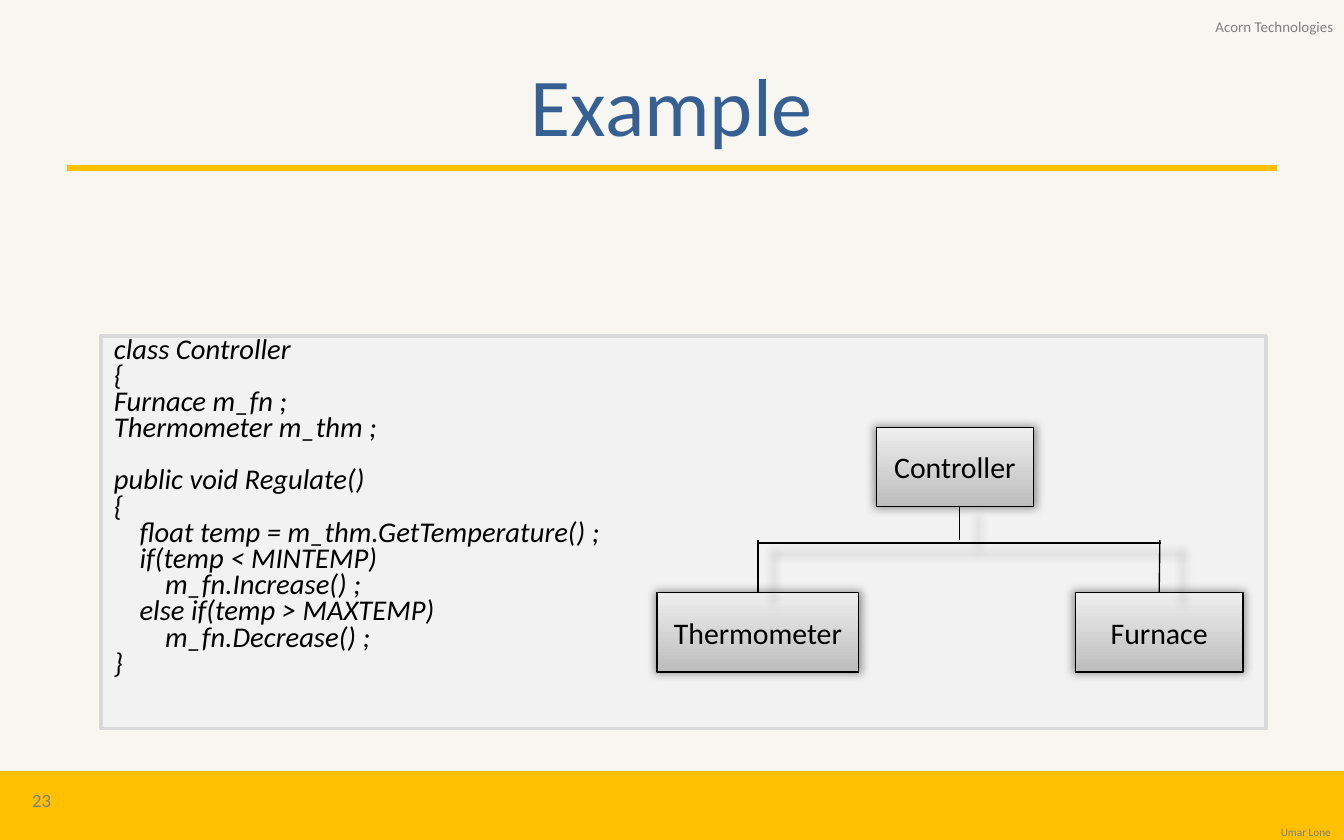
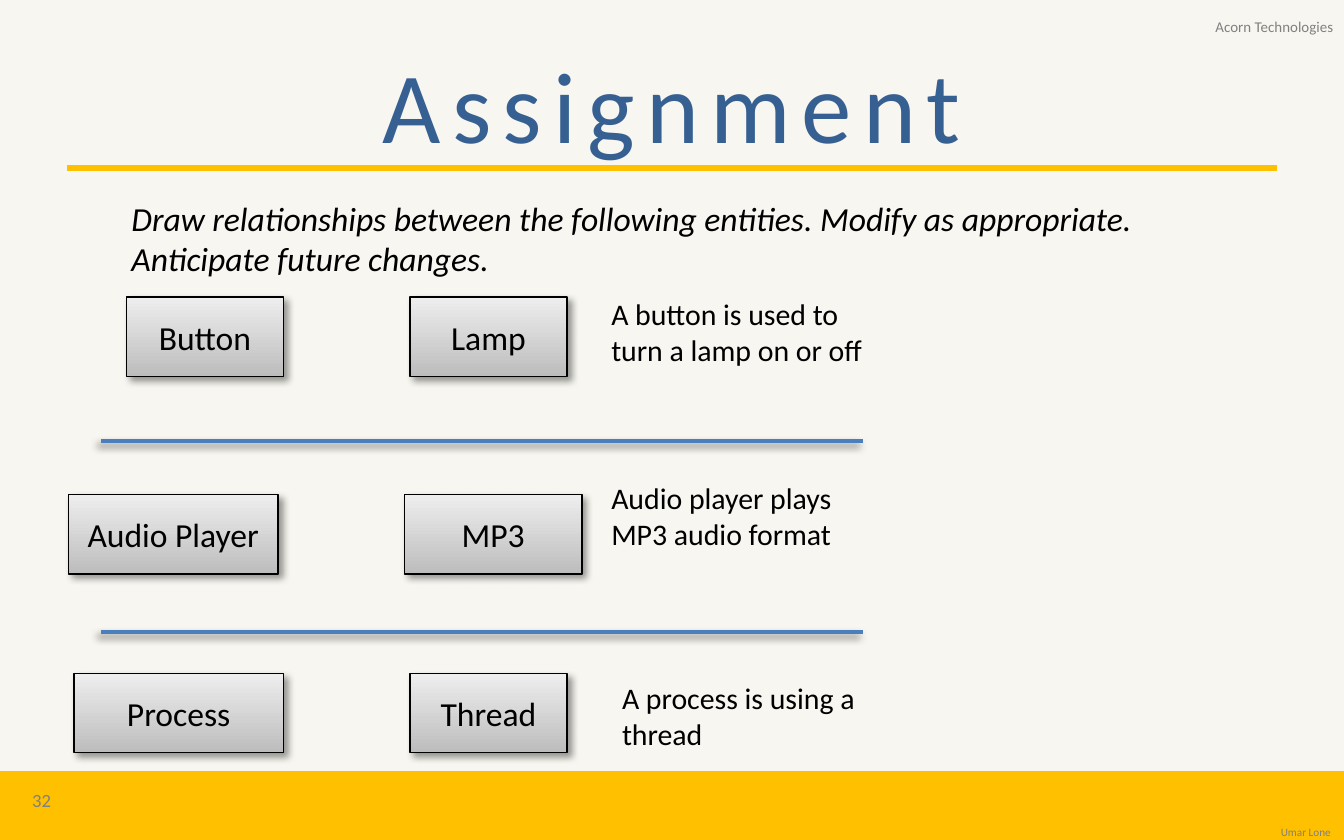
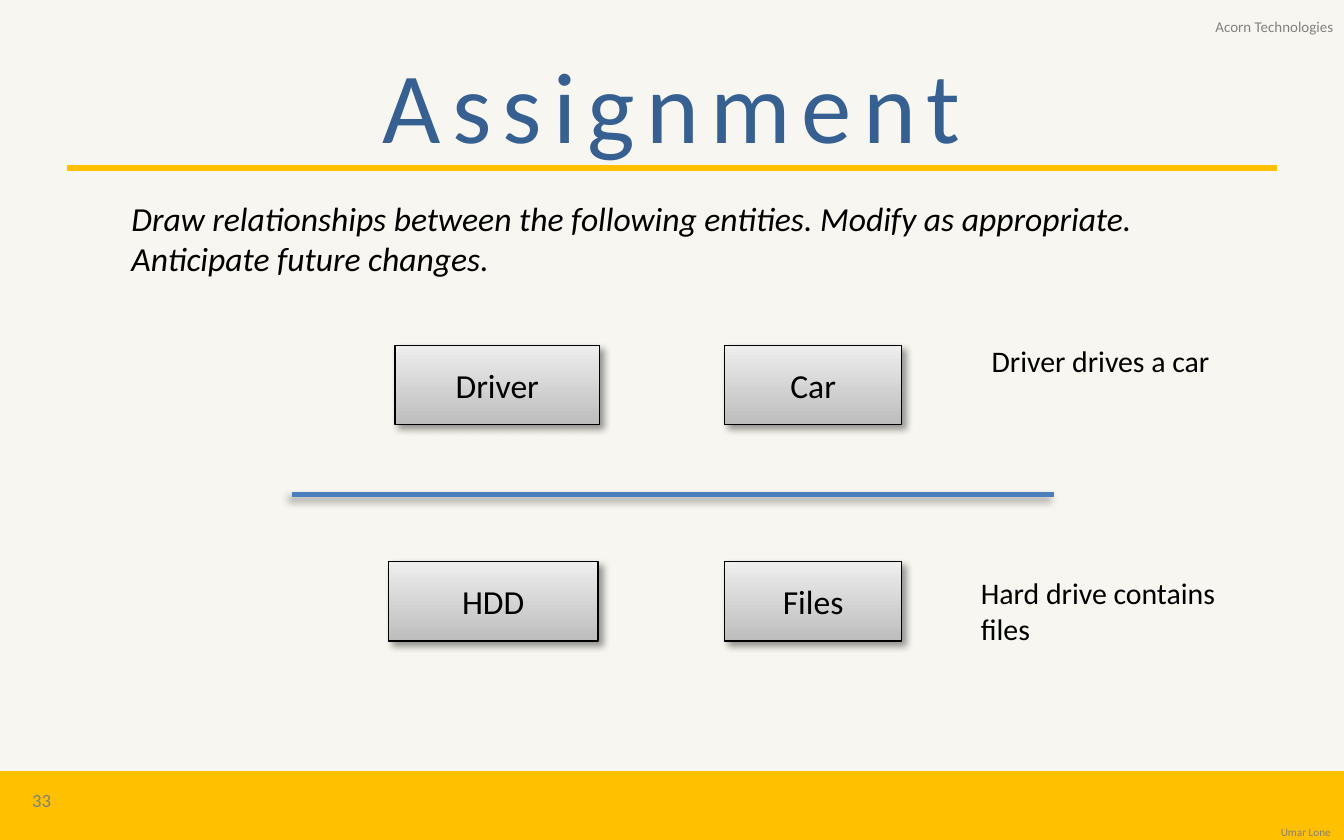
"""Build three class-relationship lesson slides with a shared yellow style."""
import lxml.etree
import pptx
import pptx.dml.color
import pptx.enum.shapes
import pptx.enum.text
import pptx.oxml.ns
import pptx.util

Inches = pptx.util.Inches
Pt = pptx.util.Pt
RGBColor = pptx.dml.color.RGBColor
Shape = pptx.enum.shapes.MSO_SHAPE
Align = pptx.enum.text.PP_ALIGN
Anchor = pptx.enum.text.MSO_ANCHOR
qn = pptx.oxml.ns.qn

PAPER = RGBColor(0xF7, 0xF6, 0xF0)
YELLOW = RGBColor(0xFF, 0xC0, 0x00)
NAVY = RGBColor(0x37, 0x60, 0x92)
BLUE = RGBColor(0x4B, 0x7E, 0xBC)
GREY = RGBColor(0x80, 0x80, 0x80)
BLACK = RGBColor(0x00, 0x00, 0x00)
PANEL = RGBColor(0xF2, 0xF2, 0xF2)
PANEL_EDGE = RGBColor(0xD9, 0xD9, 0xD9)
BOX_DARK = RGBColor(0xBD, 0xBD, 0xBD)
BOX_LIGHT = RGBColor(0xEE, 0xEE, 0xEE)

FONT = "Calibri"
BOX_H = 0.59
HALO = {"blur": 5, "dist": 0, "angle": 0, "scale": 102}
DROP = {"blur": 4, "dist": 3, "angle": 45, "scale": 100}
DROP_LEFT = {**DROP, "angle": 135}

TASK = ("Draw relationships between the following entities. "
        "Modify as appropriate. Anticipate future changes.")
CODE = [
    (0, "class Controller"),
    (0, "{"),
    (0, "Furnace m_fn ;"),
    (0, "Thermometer m_thm ;"),
    (0, "public void Regulate()"),
    (0, "{"),
    (1, "float temp = m_thm.GetTemperature() ;"),
    (1, "if(temp < MINTEMP)"),
    (2, "m_fn.Increase() ;"),
    (1, "else if(temp > MAXTEMP)"),
    (2, "m_fn.Decrease() ;"),
    (0, "}"),
]


def assign(obj, values):
    for name, value in values.items():
        setattr(obj, name, value)


class Deck:
    def __init__(self):
        self.prs = pptx.Presentation()
        assign(self.prs, {"slide_width": Inches(10), "slide_height": Inches(6.25)})
        fill = self.prs.slide_master.background.fill
        fill.solid()
        fill.fore_color.rgb = PAPER
        self.s = None

    def slide(self, title, number, size=54, spacing=600):
        self.s = self.prs.slides.add_slide(self.prs.slide_layouts[5])
        self.rect(0, 5.75, 10, 0.5, YELLOW, YELLOW, 2)
        self.line((0.5, 1.25), (9.5, 1.25), YELLOW, 3)
        self.text(8.67, 6.12, 1.33, 0.17, "Umar Lone", size=6, color=GREY,
                  align=Align.RIGHT, anchor=Anchor.BOTTOM)
        self.text(8.58, 0.01, 1.44, 0.38, "Acorn Technologies", size=8, color=GREY,
                  align=Align.RIGHT, anchor=Anchor.MIDDLE)
        self.text(0.03, 5.79, 0.56, 0.33, number, size=10, color=GREY,
                  align=Align.CENTER, anchor=Anchor.MIDDLE)
        sp = self.s.shapes.title
        assign(sp, {"left": Inches(0.5), "top": Inches(0.25),
                    "width": Inches(9), "height": Inches(1.04)})
        sp.text_frame.vertical_anchor = Anchor.MIDDLE
        p = sp.text_frame.paragraphs[0]
        p.alignment = Align.CENTER
        r = self.run(p, title, size, NAVY)
        r.font._element.set("spc", str(spacing))

    def run(self, p, text, size, color=BLACK, italic=False):
        r = p.add_run()
        r.text = text
        assign(r.font, {"name": FONT, "size": Pt(size), "italic": italic})
        r.font.color.rgb = color
        return r

    def text(self, x, y, w, h, text, size=16, color=BLACK, italic=False,
             align=Align.LEFT, anchor=Anchor.TOP):
        sp = self.s.shapes.add_textbox(Inches(x), Inches(y), Inches(w), Inches(h))
        assign(sp.text_frame, {"word_wrap": True, "vertical_anchor": anchor})
        p = sp.text_frame.paragraphs[0]
        p.alignment = align
        self.run(p, text, size, color, italic)
        return p

    def effects(self, sp, shadow=None):
        lst = lxml.etree.SubElement(sp._element.spPr, qn("a:effectLst"))
        if shadow:
            scale = str(shadow["scale"] * 1000)
            outer = lxml.etree.SubElement(
                lst, qn("a:outerShdw"), blurRad=str(Pt(shadow["blur"])),
                dist=str(Pt(shadow["dist"])), dir=str(shadow["angle"] * 60000),
                sx=scale, sy=scale, algn="ctr", rotWithShape="0")
            clr = lxml.etree.SubElement(outer, qn("a:srgbClr"), val=str(BLACK))
            lxml.etree.SubElement(clr, qn("a:alpha"), val="40000")

    def rect(self, x, y, w, h, fill, edge, width, shadow=None):
        sp = self.s.shapes.add_shape(
            Shape.RECTANGLE, Inches(x), Inches(y), Inches(w), Inches(h))
        if isinstance(fill, list):
            sp.fill.gradient()
            sp.fill.gradient_angle = 90
            for stop, color in zip(sp.fill.gradient_stops, fill):
                stop.color.rgb = color
        else:
            sp.fill.solid()
            sp.fill.fore_color.rgb = fill
        sp.line.color.rgb = edge
        sp.line.width = Pt(width)
        self.effects(sp, shadow)
        return sp

    def line(self, start, end, color, width, shadow=None, target=None):
        sp = self.s.shapes.add_connector(
            pptx.enum.shapes.MSO_CONNECTOR.STRAIGHT, *map(Inches, start + end))
        if target is not None:
            sp.begin_connect(target, 0)
        sp.line.color.rgb = color
        sp.line.width = Pt(width)
        self.effects(sp, shadow)

    def box(self, label, x, y, w, size=18, shadow=DROP):
        sp = self.rect(x, y, w, BOX_H, [BOX_DARK, BOX_LIGHT], BLACK, 0.75, shadow)
        p = sp.text_frame.paragraphs[0]
        p.alignment = Align.CENTER
        self.run(p, label, size)
        return sp

    def divider(self, x, y):
        self.line((x, y), (x + 5.67, y), BLUE, 2.25, DROP_LEFT)

    def code(self, x, y, w, h, lines):
        tf = self.rect(x, y, w, h, PANEL, PANEL_EDGE, 2).text_frame
        tf.vertical_anchor = Anchor.TOP
        for i, (level, text) in enumerate(lines):
            p = tf.add_paragraph() if i else tf.paragraphs[0]
            gap = 17 if text.startswith("public") else 3
            assign(p, {"alignment": Align.LEFT, "line_spacing": 0.6,
                       "space_before": Pt(gap)})
            p._p.get_or_add_pPr().set("marL", str(Inches(0.19 * level)))
            self.run(p, text, 15.3, italic=True)

    def assignment(self, number, boxes, notes, dividers):
        self.slide("Assignment", number)
        p = self.text(0.5, 1.42, 9, 4.41, TASK, size=18, italic=True)
        p.space_before = Pt(3.6)
        p._p.get_or_add_pPr().set("marL", str(Inches(0.38)))
        for box in boxes:
            self.box(*box)
        for note, x, y, h in notes:
            self.text(x, y, 2.19, h, note)
        for x, y in dividers:
            self.divider(x, y)


def main():
    deck = Deck()

    deck.slide("Example", "23", size=44, spacing=0)
    deck.code(0.75, 2.5, 8.67, 2.92, CODE)
    deck.line((7.14, 3.76), (7.14, 4.02), BLACK, 0.75, HALO)
    deck.line((8.64, 4.04), (5.64, 4.04), BLACK, 0.75, HALO)
    deck.box("Controller", 6.52, 3.18, 1.17, 16, HALO)
    for label, x, w, top_x in [("Thermometer", 4.89, 1.5, 5.64),
                               ("Furnace", 8, 1.25, 8.63)]:
        sp = deck.box(label, x, 4.41, w, 16, HALO)
        deck.line((top_x, 4.41), (top_x, 4.02), BLACK, 0.75, HALO, sp)

    deck.assignment(
        "32",
        [("Button", 0.94, 2.21, 1.17), ("Lamp", 3.05, 2.21, 1.17),
         ("Audio Player", 0.51, 3.68, 1.56), ("MP3", 3.01, 3.68, 1.32),
         ("Process", 0.55, 5.01, 1.56), ("Thread", 3.05, 5.01, 1.17)],
        [("A button is used to turn a lamp on or off", 4.45, 2.15, 0.64),
         ("Audio player plays MP3 audio format", 4.45, 3.52, 0.64),
         ("A process is using a thread", 4.53, 5.01, 0.64)],
        [(0.75, 3.28), (0.75, 4.7)])

    deck.assignment(
        "33",
        [("Driver", 2.94, 2.57, 1.52), ("Car", 5.39, 2.57, 1.32),
         ("HDD", 2.89, 4.18, 1.56), ("Files", 5.39, 4.18, 1.32)],
        [("Driver drives a car", 7.28, 2.5, 0.37),
         ("Hard drive contains files", 7.2, 4.23, 0.64)],
        [(2.17, 3.68)])

    deck.prs.save("out.pptx")


if __name__ == "__main__":
    main()
